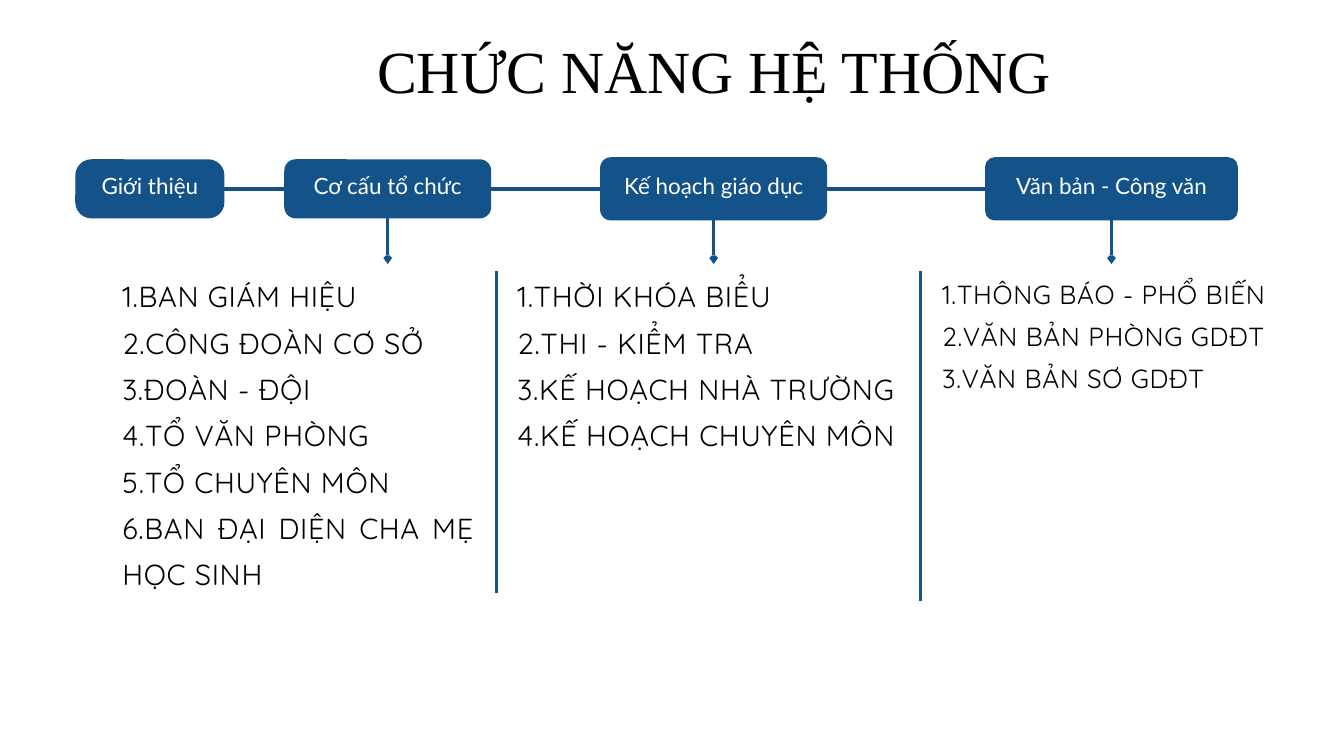
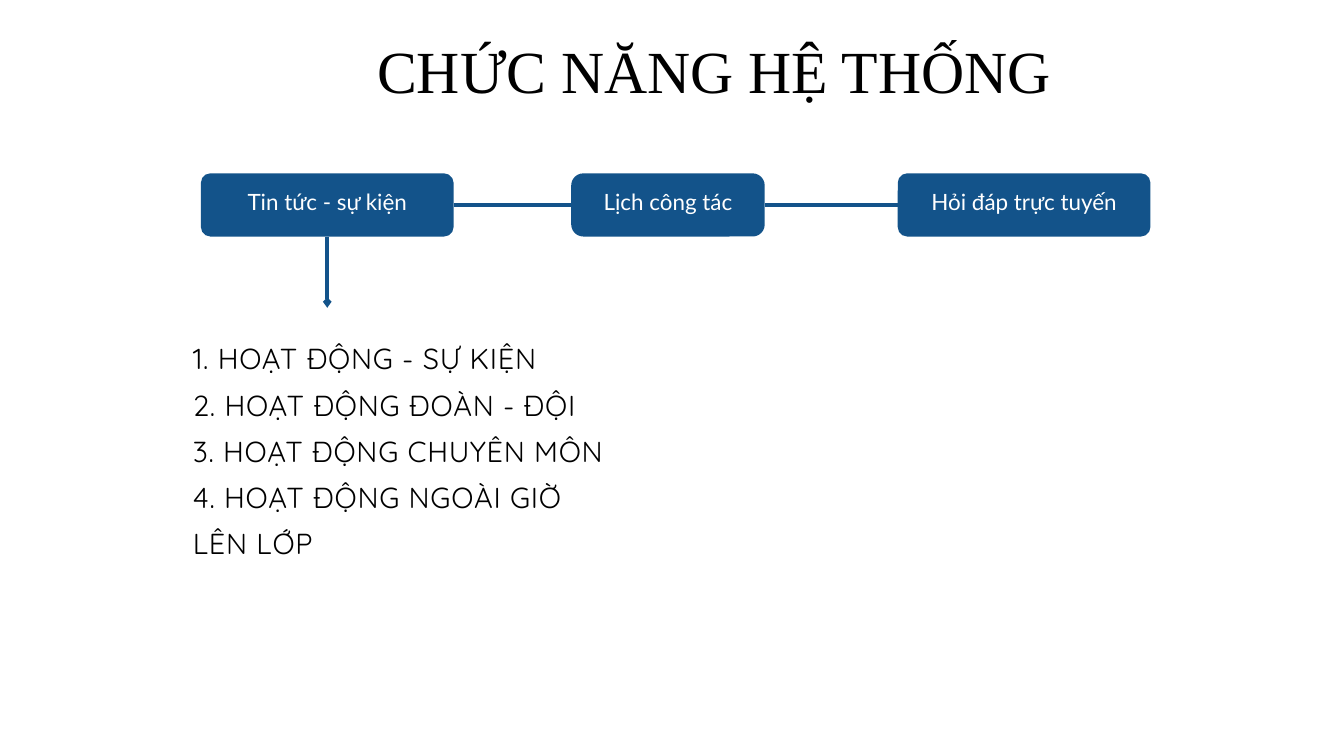
"""Builds two slides that map the functions of a school website."""
import dataclasses
import itertools
import typing

import pptx
import pptx.dml.color
import pptx.enum.shapes
import pptx.enum.text
import pptx.oxml
import pptx.oxml.ns
import pptx.util

Inches = pptx.util.Inches
Pt = pptx.util.Pt
Align = pptx.enum.text.PP_ALIGN
Anchor = pptx.enum.text.MSO_ANCHOR
AutoSize = pptx.enum.text.MSO_AUTO_SIZE

BLUE, WHITE, BLACK = "13538A", "FFFFFF", "000000"
LINE_WIDTH = 3.75
TITLE = "CHỨC NĂNG HỆ THỐNG"


@dataclasses.dataclass(frozen=True)
class TextStyle:
    font: str
    size: float
    leading: float
    color: str = BLACK
    align: Align = Align.LEFT
    tracking: float = 0


@dataclasses.dataclass(frozen=True)
class Node:
    label: str
    left: float
    width: float
    height: float = 0.94
    radius: float = 0.14
    has_list: bool = False

    @property
    def right(self) -> float:
        return self.left + self.width

    @property
    def center(self) -> float:
        return self.left + self.width / 2


@dataclasses.dataclass(frozen=True)
class ItemList:
    items: tuple[str, ...]
    left: float
    top: float
    width: float
    height: float
    style: TextStyle


@dataclasses.dataclass(frozen=True)
class Divider:
    x: float
    top: float
    bottom: float


@dataclasses.dataclass(frozen=True)
class FunctionMap:
    axis: float
    arrow_end: float
    nodes: tuple[Node, ...]
    lists: tuple[ItemList, ...]
    dividers: tuple[Divider, ...] = ()


TITLE_STYLE = TextStyle("Times New Roman", 64, 89.6, align=Align.CENTER)
NODE_STYLE = TextStyle("Lato", 24, 31.2, WHITE, Align.CENTER)
LIST_STYLE = TextStyle("Quicksand", 31, 49.6, tracking=0.8)
JUSTIFIED_STYLE = dataclasses.replace(LIST_STYLE, align=Align.JUSTIFY)
SMALL_LIST_STYLE = TextStyle("Quicksand", 28, 44.8, tracking=0.7)

MAPS = (
    FunctionMap(
        axis=2.81,
        arrow_end=3.93,
        nodes=(
            Node("Giới thiệu", 1.12, 2.22, 0.88, 0.24),
            Node("Cơ cấu tổ chức", 4.23, 3.08, 0.88, 0.17, True),
            Node("Kế hoạch giáo dục", 8.93, 3.38, radius=0.16, has_list=True),
            Node("Văn bản - Công văn", 14.66, 3.76, has_list=True),
        ),
        lists=(
            ItemList(
                ("1.BAN GIÁM HIỆU", "2.CÔNG ĐOÀN CƠ SỞ", "3.ĐOÀN - ĐỘI",
                 "4.TỔ VĂN PHÒNG", "5.TỔ CHUYÊN MÔN",
                 "6.BAN ĐẠI DIỆN CHA MẸ HỌC SINH"),
                1.82, 3.98, 5.24, 4.78, JUSTIFIED_STYLE),
            ItemList(
                ("1.THỜI KHÓA BIỂU", "2.THI - KIỂM TRA",
                 "3.KẾ HOẠCH NHÀ TRƯỜNG", "4.KẾ HOẠCH CHUYÊN MÔN"),
                7.7, 3.98, 5.68, 2.71, LIST_STYLE),
            ItemList(
                ("1.THÔNG BÁO - PHỔ BIẾN", "2.VĂN BẢN PHÒNG GDĐT",
                 "3.VĂN BẢN SƠ GDĐT"),
                14.02, 3.99, 4.99, 1.81, SMALL_LIST_STYLE),
        ),
        dividers=(Divider(7.39, 4.04, 8.82), Divider(13.7, 4.04, 8.94)),
    ),
    FunctionMap(
        axis=3.05,
        arrow_end=4.58,
        nodes=(
            Node("Tin tức - sự kiện", 2.99, 3.76, has_list=True),
            Node("Lịch công tác", 8.5, 2.88, radius=0.18),
            Node("Hỏi đáp trực tuyến", 13.36, 3.76),
        ),
        lists=(
            ItemList(
                ("1. HOẠT ĐỘNG - SỰ KIỆN", "2. HOẠT ĐỘNG ĐOÀN - ĐỘI",
                 "3. HOẠT ĐỘNG CHUYÊN MÔN", "4. HOẠT ĐỘNG NGOÀI GIỜ LÊN LỚP"),
                2.87, 4.9, 6.35, 3.4, LIST_STYLE),
        ),
    ),
)


def rgb(color: str) -> pptx.dml.color.RGBColor:
    """Turn a hex string into a colour."""
    return pptx.dml.color.RGBColor.from_string(color)


def apply_format(target: typing.Any, values: dict[str, typing.Any]) -> None:
    """Set every named attribute on the target."""
    for name, value in values.items():
        setattr(target, name, value)


def write_text(frame: typing.Any, lines: typing.Sequence[str], style: TextStyle,
               anchor: Anchor = Anchor.TOP, bottom: float = 0) -> None:
    """Fill a text frame with one paragraph for each line."""
    apply_format(frame, {
        "word_wrap": True, "vertical_anchor": anchor, "margin_left": 0,
        "margin_right": 0, "margin_top": 0, "margin_bottom": Inches(bottom),
    })
    for index, line in enumerate(lines):
        para = frame.add_paragraph() if index else frame.paragraphs[0]
        apply_format(para, {"alignment": style.align, "line_spacing": Pt(style.leading)})
        span = para.add_run()
        span.text = line
        apply_format(span.font, {"name": style.font, "size": Pt(style.size)})
        span.font.color.rgb = rgb(style.color)
        if style.tracking:
            span._r.get_or_add_rPr().set("spc", str(round(style.tracking * 100)))


def add_text(page: typing.Any, lines: typing.Sequence[str], left: float, top: float,
             width: float, height: float, style: TextStyle) -> None:
    """Add a text box that grows with its text."""
    box = page.shapes.add_textbox(Inches(left), Inches(top), Inches(width), Inches(height))
    write_text(box.text_frame, lines, style)
    box.text_frame.auto_size = AutoSize.SHAPE_TO_FIT_TEXT


def add_line(page: typing.Any, x1: float, y1: float, x2: float, y2: float,
             arrow: bool = False) -> None:
    """Draw a blue line, with an arrowhead at its end if asked."""
    line = page.shapes.add_connector(
        pptx.enum.shapes.MSO_CONNECTOR.STRAIGHT,
        Inches(x1), Inches(y1), Inches(x2), Inches(y2))
    line.line.color.rgb = rgb(BLUE)
    line.line.width = Pt(LINE_WIDTH)
    properties = line._element.spPr
    if arrow:
        head = pptx.oxml.ns.qn("a:tailEnd")
        line.line._get_or_add_ln().append(
            properties.makeelement(head, {"type": "arrow", "w": "sm", "len": "sm"}))
    properties.append(properties.makeelement(pptx.oxml.ns.qn("a:effectLst"), {}))


def add_node(page: typing.Any, node: Node, axis: float) -> None:
    """Draw a rounded function box centred on the axis."""
    box = page.shapes.add_shape(
        pptx.enum.shapes.MSO_SHAPE.ROUNDED_RECTANGLE,
        Inches(node.left), Inches(axis - node.height / 2),
        Inches(node.width), Inches(node.height))
    box.adjustments[0] = node.radius / node.height
    box.shadow.inherit = False
    box.fill.solid()
    box.fill.fore_color.rgb = rgb(BLUE)
    box.line.fill.background()
    write_text(box.text_frame, [node.label], NODE_STYLE, Anchor.MIDDLE, bottom=0.12)


def add_page(deck: typing.Any, chart: FunctionMap) -> None:
    """Add one slide with its title, boxes, links and lists."""
    page = deck.slides.add_slide(deck.slide_layouts[6])
    for node in chart.nodes:
        add_node(page, node, chart.axis)
        if node.has_list:
            add_line(page, node.center, chart.axis + node.height / 2,
                     node.center, chart.arrow_end, arrow=True)
    for before, after in itertools.pairwise(chart.nodes):
        add_line(page, before.right, chart.axis, after.left, chart.axis)
    for entry in chart.lists:
        add_text(page, entry.items, entry.left, entry.top,
                 entry.width, entry.height, entry.style)
    for divider in chart.dividers:
        add_line(page, divider.x, divider.top, divider.x, divider.bottom)
    add_text(page, [TITLE], 5.23, 0.32, 10.79, 1.19, TITLE_STYLE)


def main() -> None:
    """Build and save the deck."""
    deck = pptx.Presentation()
    apply_format(deck, {"slide_width": Inches(20), "slide_height": Inches(11.25)})
    for chart in MAPS:
        add_page(deck, chart)
    deck.save("out.pptx")


if __name__ == "__main__":
    main()
